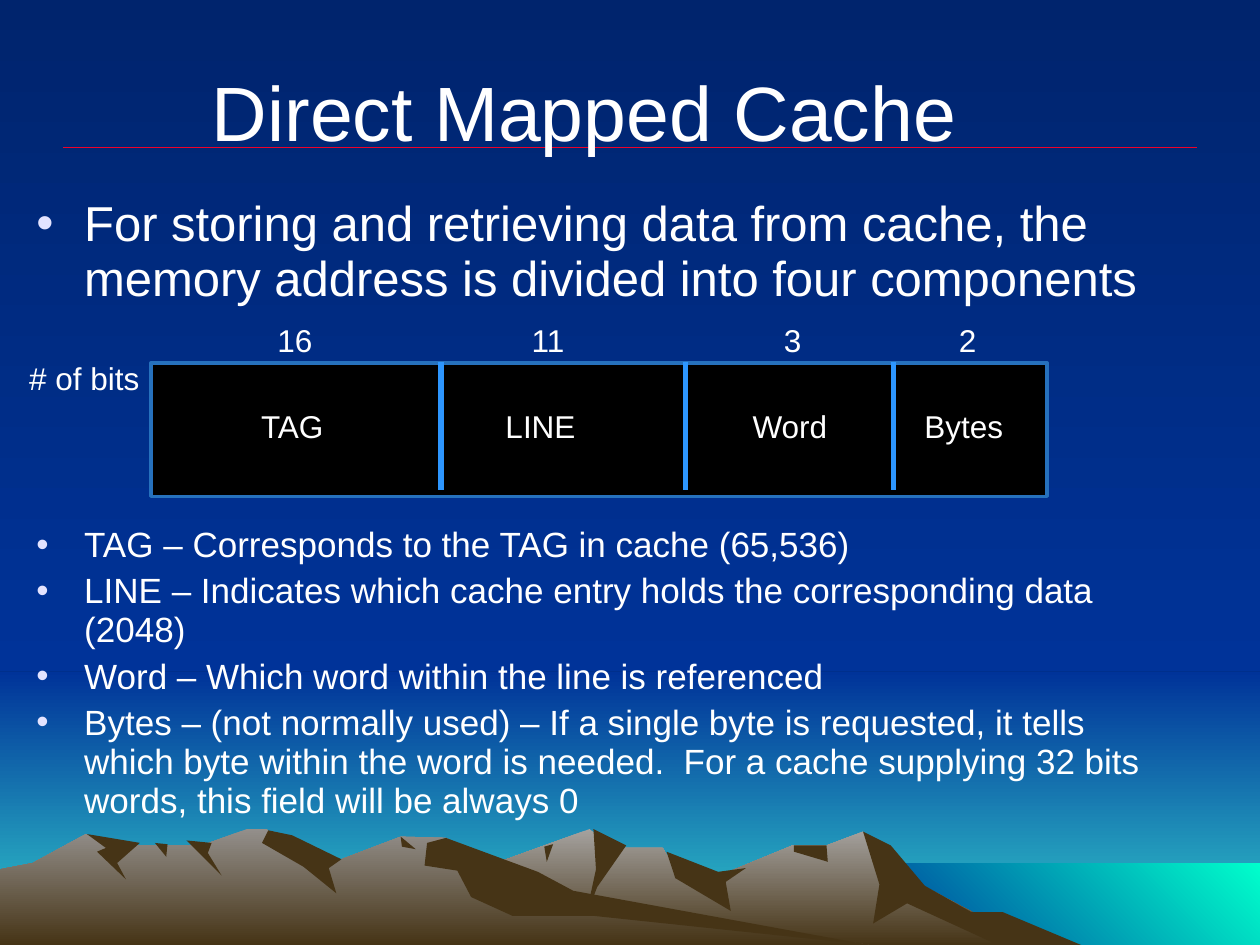
from typing import NamedTuple

from lxml.etree import SubElement
from pptx import Presentation
from pptx.dml.color import RGBColor
from pptx.enum.shapes import MSO_CONNECTOR, MSO_SHAPE
from pptx.enum.text import MSO_ANCHOR, PP_ALIGN
from pptx.oxml.ns import qn
from pptx.util import Inches, Pt

CELL = Inches(0.01)
COLUMNS, ROWS = 1000, 750
HORIZON = 533
FONT = "Arial"
WHITE, EARTH = "FFFFFF", "463416"
NIGHT, BLUE = "00246D", "003399"


class Box(NamedTuple):
    column: int
    row: int
    columns: int
    rows: int


class Gradient(NamedTuple):
    start: str
    end: str
    angle: int = 270


class Ridge(NamedTuple):
    fill: str | Gradient
    points: list[tuple[int, int]]


class Field(NamedTuple):
    name: str
    bits: str
    name_column: int
    bits_column: int


class BulletList(NamedTuple):
    box: Box
    size: int
    items: list[str]


SCENERY = [
    (Box(0, HORIZON, COLUMNS, ROWS - HORIZON), Gradient(BLUE, "33CCCC")),
    (Box(0, 0, COLUMNS, HORIZON), Gradient(NIGHT, BLUE)),
    (Box(683, 685, 317, 65), Gradient(BLUE, "00FFCC", 45)),
]
RIDGES = [
    Ridge(Gradient("A5A29F", EARTH), [
        (821, ROWS), (723, 698), (685, 660), (656, 671), (629, 671), (566, 697), (536, 690),
        (526, 673), (486, 673), (468, 658), (399, 683), (327, 709), (258, ROWS)]),
    Ridge(EARTH, [
        (685, 660), (707, 671), (734, 703), (771, 724), (796, 724), (858, ROWS), (792, ROWS),
        (720, 717), (693, 733), (698, 702)]),
    Ridge(EARTH, [(471, 658), (497, 671), (474, 704), (465, 727), (473, 690)]),
    Ridge(EARTH, [(529, 676), (570, 692), (592, 689), (576, 700), (580, 723), (536, 697)]),
    Ridge(EARTH, [(630, 671), (656, 671), (657, 684), (630, 676)]),
    Ridge(EARTH, [(432, 672), (439, 670), (434, 684)]),
    Ridge(Gradient("938F8B", EARTH), [
        (690, ROWS), (432, 712), (354, 665), (318, 664), (271, 682), (236, 681), (212, 658),
        (196, 658), (160, 671), (94, 671), (68, 662), (26, 685), (0, 690), (0, ROWS)]),
    Ridge(EARTH, [
        (213, 659), (232, 663), (271, 682), (261, 689), (267, 709), (241, 688), (208, 669)]),
    Ridge(EARTH, [
        (339, 669), (354, 665), (427, 692), (455, 707), (690, ROWS), (472, 727), (407, 727),
        (374, 712), (363, 691), (337, 687)]),
    Ridge(EARTH, [(318, 664), (330, 674), (319, 672)]),
    Ridge(EARTH, [(148, 667), (168, 669), (165, 677), (176, 695)]),
    Ridge(EARTH, [(123, 669), (133, 670), (132, 680)]),
    Ridge(EARTH, [(69, 662), (111, 669), (93, 685), (100, 698), (77, 676), (84, 673)]),
]
FIELDS = [
    Field("TAG", "16", 180, 182),
    Field("LINE", "11", 377, 383),
    Field("Word", "3", 575, 577),
    Field("Bytes", "2", 713, 716),
]
DIVIDERS = [350, 544, 709]
BULLET_LISTS = [
    BulletList(Box(19, 152, 900, 95), 28, [
        "For storing and retrieving data from cache, the memory address is divided into four components",
    ]),
    BulletList(Box(19, 413, 900, 234), 20, [
        "TAG – Corresponds to the TAG in cache (65,536)",
        "LINE – Indicates which cache entry holds the corresponding data (2048)",
        "Word – Which word within the line is referenced",
        "Bytes – (not normally used) – If a single byte is requested, it tells which byte within "
        "the word is needed.  For a cache supplying 32 bits words, this field will be always 0",
    ]),
]


def color(value: str) -> RGBColor:
    return RGBColor.from_string(value)


def place(box: Box) -> list[int]:
    return [length * CELL for length in box]


def paint(fill, paint_value: str | Gradient) -> None:
    if isinstance(paint_value, str):
        fill.solid()
        fill.fore_color.rgb = color(paint_value)
        return
    fill.gradient()
    fill.gradient_angle = paint_value.angle
    for stop, value in zip(fill.gradient_stops, paint_value[:2]):
        stop.color.rgb = color(value)


def finish(shape, fill: str | Gradient) -> None:
    shape.shadow.inherit = False
    shape.line.fill.background()
    paint(shape.fill, fill)


def add_rectangle(slide, box: Box, fill: str | Gradient):
    shape = slide.shapes.add_shape(MSO_SHAPE.RECTANGLE, *place(box))
    finish(shape, fill)
    return shape


def add_ridge(slide, ridge: Ridge) -> None:
    builder = slide.shapes.build_freeform(*ridge.points[0], scale=CELL)
    builder.add_line_segments(ridge.points[1:], close=True)
    finish(builder.convert_to_shape(), ridge.fill)


def add_line(slide, start: tuple[int, int], end: tuple[int, int], value: str, width: float) -> None:
    points = [length * CELL for length in start + end]
    line = slide.shapes.add_connector(MSO_CONNECTOR.STRAIGHT, *points)
    line.line.color.rgb = color(value)
    line.line.width = Pt(width)
    SubElement(line._element.spPr, qn("a:effectLst"))


def style(paragraph, size: int) -> None:
    for run in paragraph.runs:
        run.font.name = FONT
        run.font.size = Pt(size)
        run.font.color.rgb = color(WHITE)


def add_text(slide, box: Box, text: str, size: int):
    text_frame = slide.shapes.add_textbox(*place(box)).text_frame
    text_frame.word_wrap = True
    text_frame.text = text
    for paragraph in text_frame.paragraphs:
        paragraph.alignment = PP_ALIGN.CENTER
        style(paragraph, size)
    return text_frame


def add_bullets(slide, bullet_list: BulletList) -> None:
    text_frame = add_text(slide, bullet_list.box, "\n".join(bullet_list.items), bullet_list.size)
    for index, paragraph in enumerate(text_frame.paragraphs):
        properties = paragraph._p.get_or_add_pPr()
        properties.set("marL", str(38 * CELL))
        properties.set("indent", str(-38 * CELL))
        bullet_color = SubElement(properties, qn("a:buClr"))
        SubElement(bullet_color, qn("a:srgbClr"), val="E3E3FF")
        SubElement(properties, qn("a:buFont"), typeface=FONT)
        SubElement(properties, qn("a:buChar"), char="•")
        paragraph.alignment = PP_ALIGN.LEFT
        paragraph.line_spacing = 0.93
        paragraph.space_before = Pt(0.2 * bullet_list.size if index else 0)


def main() -> None:
    presentation = Presentation()
    presentation.slide_width, presentation.slide_height = COLUMNS * CELL, ROWS * CELL
    slide = presentation.slides.add_slide(presentation.slide_layouts[6])
    paint(slide.background.fill, Gradient(NIGHT, BLUE))
    for box, fill in SCENERY:
        add_rectangle(slide, box, fill)
    for ridge in RIDGES:
        add_ridge(slide, ridge)
    add_line(slide, (50, 117), (950, 117), "EF0129", 0.75)
    title = add_text(slide, Box(56, 25, 850, 125), "Direct Mapped Cache", 44)
    title.vertical_anchor = MSO_ANCHOR.MIDDLE
    title.margin_right = 44 * CELL
    for bullet_list in BULLET_LISTS:
        add_bullets(slide, bullet_list)
    address = add_rectangle(slide, Box(120, 288, 711, 106), "000000")
    address.line.color.rgb = color("2671BD")
    address.line.width = Pt(2)
    for column in DIVIDERS:
        add_line(slide, (column, 287), (column, 389), "2D96FE", 3)
    for field in FIELDS:
        add_text(slide, Box(field.name_column, 318, 104, 37), field.name, 18)
        add_text(slide, Box(field.bits_column, 250, 104, 37), field.bits, 18)
    add_text(slide, Box(0, 280, 134, 37), "# of bits", 18)
    presentation.save("out.pptx")


if __name__ == "__main__":
    main()
